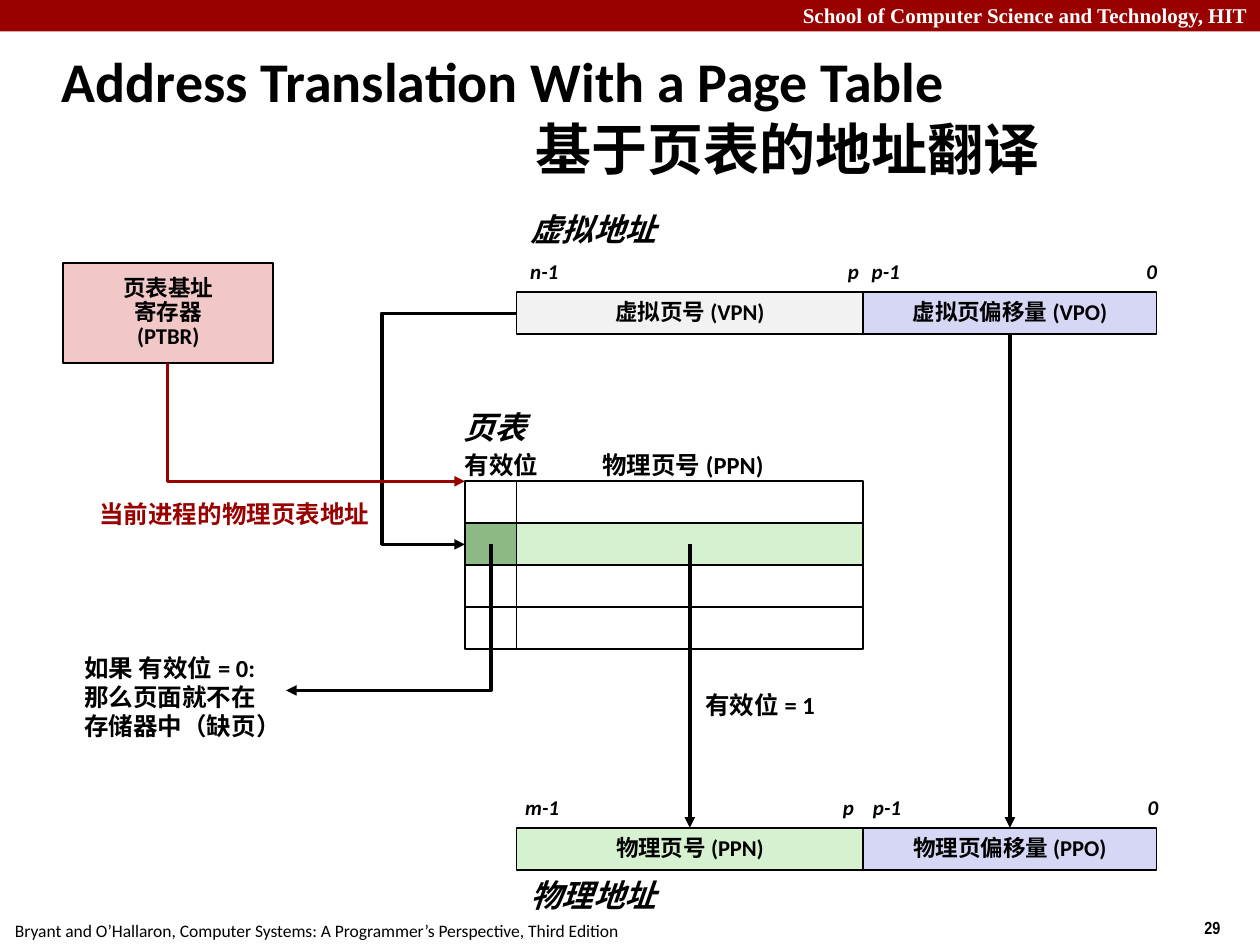
"""Build the slide on address translation with a page table."""
import pptx
import pptx.dml.color
import pptx.enum.shapes
import pptx.enum.text
import pptx.oxml.ns
import pptx.util

Inches = pptx.util.Inches
Pt = pptx.util.Pt
RGB = pptx.dml.color.RGBColor
ALIGN = pptx.enum.text.PP_ALIGN
ANCHOR = pptx.enum.text.MSO_ANCHOR
FIT = pptx.enum.text.MSO_AUTO_SIZE
RECTANGLE = pptx.enum.shapes.MSO_SHAPE.RECTANGLE
CONNECTOR = pptx.enum.shapes.MSO_CONNECTOR
qn = pptx.oxml.ns.qn

BLACK = RGB(0x00, 0x00, 0x00)
WHITE = RGB(0xFF, 0xFF, 0xFF)
RED = RGB(0x99, 0x00, 0x00)
PINK = RGB(0xF1, 0xC7, 0xC7)
GREY = RGB(0xF2, 0xF2, 0xF2)
LILAC = RGB(0xD6, 0xD6, 0xF5)
GREEN = RGB(0xD5, 0xF1, 0xCF)
DARK_GREEN = RGB(0x8D, 0xBA, 0x84)

TITLE = [("Address Translation With a Page Table", 0), ("基于页表的地址翻译", 3.76)]
HEADER = "School of Computer Science and Technology, HIT"
FOOTER = "Bryant and O’Hallaron, Computer Systems: A Programmer’s Perspective, Third Edition"
PAGE_NUMBER = "29"

VIRTUAL_FIELDS = [("虚拟页号 (VPN)", GREY), ("虚拟页偏移量 (VPO)", LILAC)]
PHYSICAL_FIELDS = [("物理页号 (PPN)", GREEN), ("物理页偏移量 (PPO)", LILAC)]
REGISTER = ["页表基址", "寄存器", "(PTBR)"]
TABLE_ROWS = [(None, None), (DARK_GREEN, GREEN), (None, None), (None, None)]

HEADINGS = [
    ("虚拟地址", 4.11, 1.62, 1.2),
    ("物理地址", 4.11, 6.9, 1.2),
    ("页表", 3.58, 3.19, 1.42),
]
LABELS = [
    (["有效位"], 3.59, 3.52, 0.82, 0.34, BLACK),
    (["物理页号 (PPN)"], 4.68, 3.52, 1.55, 0.34, BLACK),
    (["当前进程的物理页表地址"], 0.69, 3.91, 2.4, 0.34, RED),
    (["如果 有效位 = 0:", "那么页面就不在", "存储器中（缺页）"], 0.57, 5.13, 1.78, 0.8, BLACK),
    (["有效位 = 1"], 5.5, 5.43, 1.16, 0.34, BLACK),
]
BIT_NUMBERS = [
    (2, [("n-1", 4.11, 0.42), ("p", 6.63, 0.29), ("p-1", 6.82, 0.42), ("0", 9, 0.28)]),
    (6.26, [("m-1", 4.07, 0.47), ("p", 6.59, 0.29), ("p-1", 6.83, 0.42), ("0", 9.01, 0.28)]),
]

VALID_LEFT, VALID_WIDTH = 3.69, 0.41
NUMBER_LEFT, NUMBER_WIDTH = 4.1, 2.75
OFFSET_WIDTH = 2.33
ROW_HEIGHT = 1 / 3
VIRTUAL_TOP, TABLE_TOP, PHYSICAL_TOP = 2.32, 3.82, 6.57
BEND_X = 3.03


def write(frame, lines, size, color=BLACK, font="Calibri", bold=True, italic=False,
          align=ALIGN.LEFT, spacing=None):
    for index, line in enumerate(lines):
        paragraph = frame.paragraphs[0] if index == 0 else frame.add_paragraph()
        paragraph.alignment = align
        paragraph.line_spacing = spacing
        run = paragraph.add_run()
        run.text = line
        run.font.name, run.font.size = font, Pt(size)
        run.font.bold, run.font.italic = bold, italic
        run.font.color.rgb = color


def add_text(slide, lines, left, top, width, height, size, wrap=False, **style):
    box = slide.shapes.add_textbox(Inches(left), Inches(top), Inches(width), Inches(height))
    box.text_frame.word_wrap = wrap
    box.text_frame.auto_size = FIT.SHAPE_TO_FIT_TEXT
    write(box.text_frame, lines, size, **style)


def add_box(slide, left, top, width, height, fill, lines=(), outlined=True):
    box = slide.shapes.add_shape(
        RECTANGLE, Inches(left), Inches(top), Inches(width), Inches(height))
    box.shadow.inherit = False
    if fill is None:
        box.fill.background()
    else:
        box.fill.solid()
        box.fill.fore_color.rgb = fill
    if outlined:
        box.line.color.rgb = BLACK
        box.line.width = Pt(1)
    else:
        box.line.fill.background()
    box.text_frame.word_wrap = True
    box.text_frame.vertical_anchor = ANCHOR.MIDDLE
    write(box.text_frame, lines, 12.9, align=ALIGN.CENTER, spacing=0.9)
    return box


def add_arrow(slide, kind, start, end, color=BLACK):
    arrow = slide.shapes.add_connector(kind, *(Inches(v) for v in (*start, *end)))
    arrow.line.color.rgb = color
    arrow.line.width = Pt(2)
    properties = arrow._element.spPr
    line = properties.find(qn("a:ln"))
    line.append(line.makeelement(qn("a:tailEnd"), {"type": "triangle"}))
    properties.append(properties.makeelement(qn("a:effectLst"), {}))
    return arrow


def add_down_then_across(slide, start, end, color=BLACK):
    middle_x, middle_y = (start[0] + end[0]) / 2, (start[1] + end[1]) / 2
    half_length, half_depth = (end[1] - start[1]) / 2, abs(end[0] - start[0]) / 2
    rightward = end[0] > start[0]
    direction = -1 if rightward else 1
    arrow = add_arrow(
        slide, CONNECTOR.ELBOW,
        (middle_x - direction * half_length, middle_y - half_depth),
        (middle_x + direction * half_length, middle_y + half_depth), color)
    properties = arrow._element.spPr
    properties.find(qn("a:xfrm")).set("rot", str((270 if rightward else 90) * 60000))
    properties.find(qn("a:prstGeom")).set("prst", "bentConnector2")


def add_address(slide, top, fields):
    boxes, left = [], NUMBER_LEFT
    for (name, fill), width in zip(fields, (NUMBER_WIDTH, OFFSET_WIDTH)):
        boxes.append(add_box(slide, left, top, width, ROW_HEIGHT, fill, [name]))
        left += width
    return boxes


def add_title(slide):
    title = slide.shapes.title
    title.left, title.top, title.width, title.height = (
        Inches(v) for v in (0.39, 0.49, 8.3, 0.83))
    frame = title.text_frame
    frame.word_wrap, frame.auto_size = True, FIT.NONE
    frame.vertical_anchor = ANCHOR.MIDDLE
    write(frame, [line for line, _ in TITLE], 32)
    for paragraph, (_, indent) in zip(frame.paragraphs, TITLE):
        paragraph.space_before = Pt(0)
        paragraph._p.get_or_add_pPr().set("marL", str(Inches(indent)))


def main():
    deck = pptx.Presentation()
    deck.slide_width, deck.slide_height = Inches(10), Inches(7.5)
    slide = deck.slides.add_slide(deck.slide_layouts[5])
    add_title(slide)

    add_box(slide, 0, 0, 10, 0.25, RED, outlined=False)
    add_text(slide, [PAGE_NUMBER], 9.46, 7.23, 0.75, 0.27, 10, font="Arial Narrow")
    add_text(slide, [FOOTER], 0.02, 7.25, 5.01, 0.27, 10, bold=False)
    add_text(slide, [HEADER], 0, -0.03, 10, 0.3, 12, wrap=True, color=WHITE,
             font="Times New Roman", align=ALIGN.RIGHT)

    vpn, vpo = add_address(slide, VIRTUAL_TOP, VIRTUAL_FIELDS)
    valid_cells = []
    for row, (valid_fill, number_fill) in enumerate(TABLE_ROWS):
        top = TABLE_TOP + row * ROW_HEIGHT
        add_box(slide, NUMBER_LEFT, top, NUMBER_WIDTH, ROW_HEIGHT, number_fill)
        valid_cells.append(
            add_box(slide, VALID_LEFT, top, VALID_WIDTH, ROW_HEIGHT, valid_fill))
    ppn, ppo = add_address(slide, PHYSICAL_TOP, PHYSICAL_FIELDS)
    add_box(slide, 0.5, 2.09, 1.67, 0.79, PINK, REGISTER)

    entry_y = TABLE_TOP + 1.5 * ROW_HEIGHT
    number_x = NUMBER_LEFT + NUMBER_WIDTH / 2
    offset_x = NUMBER_LEFT + NUMBER_WIDTH + OFFSET_WIDTH / 2
    lookup = add_arrow(slide, CONNECTOR.ELBOW, (NUMBER_LEFT, VIRTUAL_TOP + ROW_HEIGHT / 2),
                       (VALID_LEFT, entry_y))
    lookup.begin_connect(vpn, 1)
    lookup.end_connect(valid_cells[1], 1)
    bend = round((NUMBER_LEFT - BEND_X) / (NUMBER_LEFT - VALID_LEFT) * 100000)
    guides = lookup._element.spPr.find(qn("a:prstGeom")).find(qn("a:avLst"))
    guides.append(guides.makeelement(qn("a:gd"), {"name": "adj1", "fmla": f"val {bend}"}))
    offset = add_arrow(slide, CONNECTOR.STRAIGHT, (offset_x, VIRTUAL_TOP + ROW_HEIGHT),
                       (offset_x, PHYSICAL_TOP))
    offset.begin_connect(vpo, 2)
    offset.end_connect(ppo, 0)
    hit = add_arrow(slide, CONNECTOR.STRAIGHT, (number_x, entry_y), (number_x, PHYSICAL_TOP))
    hit.end_connect(ppn, 0)
    add_down_then_across(slide, (VALID_LEFT + VALID_WIDTH / 2, entry_y), (2.27, 5.48))
    add_down_then_across(slide, (1.33, 2.88), (VALID_LEFT, TABLE_TOP), RED)

    for heading, left, top, width in HEADINGS:
        add_text(slide, [heading], left, top, width, 0.4, 18, italic=True)
    for lines, left, top, width, height, color in LABELS:
        add_text(slide, lines, left, top, width, height, 14, color=color)
    for top, numbers in BIT_NUMBERS:
        for number, left, width in numbers:
            add_text(slide, [number], left, top, width, 0.3, 12, italic=True)

    deck.save("out.pptx")


if __name__ == "__main__":
    main()
